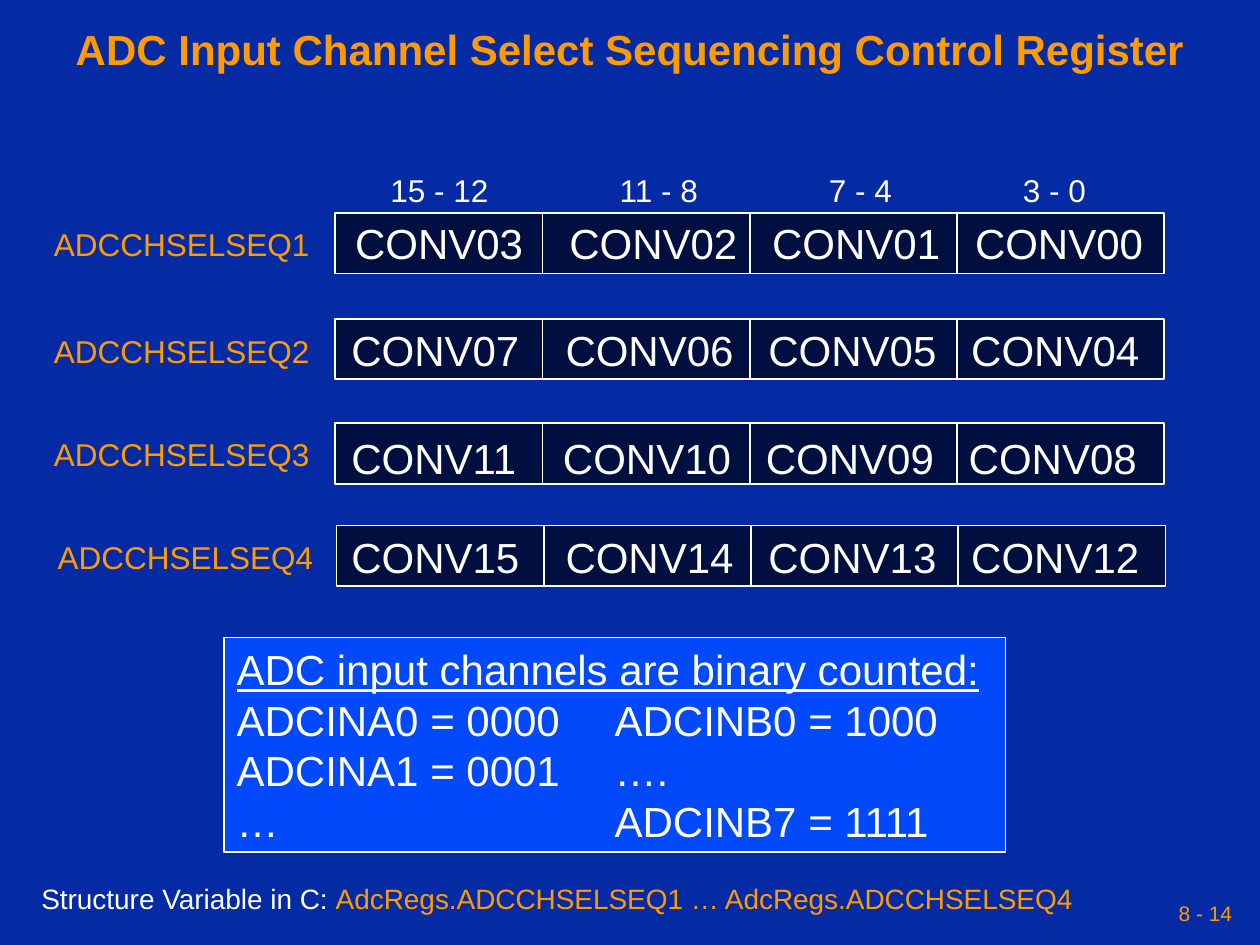
from dataclasses import dataclass
from lxml import etree
from pptx import Presentation
from pptx import util as u
from pptx.dml.color import RGBColor
from pptx.enum import shapes, text
from pptx.oxml import ns

TITLE = "ADC Input Channel Select Sequencing Control Register"
PAGE = "8 - 14"
BITS = ["15 - 12", "11 - 8", "7 - 4", "3 - 0"]
REGISTERS = [
    dict(name="ADCCHSELSEQ1", fields=["CONV03", "CONV02", "CONV01", "CONV00"],
         bar=(26.6, 16.9), label=(3.3, 16.8), words=(27.2, 16), stops=(17, 33.1, 49.2)),
    dict(name="ADCCHSELSEQ2", fields=["CONV07", "CONV06", "CONV05", "CONV04"],
         bar=(26.6, 25.3), label=(3.3, 25.3), words=(26.9, 24.5), stops=(17, 33.1, 49.2)),
    dict(name="ADCCHSELSEQ3", fields=["CONV11", "CONV10", "CONV09", "CONV08"],
         bar=(26.6, 33.6), label=(3.3, 33.4), words=(26.9, 33), stops=(16.8, 32.9, 49)),
    dict(name="ADCCHSELSEQ4", fields=["CONV15", "CONV14", "CONV13", "CONV12"],
         bar=(26.7, 41.7), label=(3.6, 41.6), words=(26.9, 40.9), stops=(17, 33.1, 49.2)),
]
CHANNELS = [
    "ADC input channels are binary counted:",
    "ADCINA0 = 0000\tADCINB0 = 1000",
    "ADCINA1 = 0001\t….",
    "…\tADCINB7 = 1111",
]
VARIABLE = ["Structure Variable in C: ", "AdcRegs.ADCCHSELSEQ1 … AdcRegs.ADCCHSELSEQ4"]
BAR_W, BAR_H = 65.8, 4.8


@dataclass(frozen=True)
class Theme:
    font: str = "Arial"
    back: str = "042AA4"
    accent: str = "FE9B03"
    ink: str = "FFFFFF"
    bar: str = "000F40"
    panel: str = "0249FC"
    big: int = 24
    label: int = 18
    note: int = 16
    small: int = 12
    line: int = 1


T = Theme()
prs = Presentation()
prs.slide_width, prs.slide_height = u.Inches(10), u.Inches(7.5)
COL, ROW = prs.slide_width / 100, prs.slide_height / 75
s = prs.slides.add_slide(prs.slide_layouts[6])
s.background.fill.solid()
s.background.fill.fore_color.rgb = RGBColor.from_string(T.back)


def grid(x, y, w, h):
    return [u.Emu(round(n * unit)) for n, unit in zip((x, y, w, h), (COL, ROW, COL, ROW))]


def style(run, size, color, bold=False):
    run.font.name = T.font
    run.font.size = u.Pt(size)
    run.font.bold = bold
    run.font.color.rgb = RGBColor.from_string(color)


def write(sp, lines, size, color, align=text.PP_ALIGN.LEFT, spacing=None, stops=(), bold=False):
    tf = sp.text_frame
    tf.word_wrap = True
    tf.text = "\n".join(lines)
    for p in tf.paragraphs:
        p.alignment = align
        p.line_spacing = spacing
        if stops:
            tabs = etree.SubElement(p._p.get_or_add_pPr(), ns.qn("a:tabLst"))
            for stop in stops:
                etree.SubElement(tabs, ns.qn("a:tab"), pos=str(round(stop * COL)), algn="l")
        for r in p.runs:
            style(r, size, color, bold)
    return tf


def label(box, words, size, color, **options):
    return write(s.shapes.add_textbox(*grid(*box)), [words], size, color, **options)


def tight(tf):
    tf.vertical_anchor = text.MSO_ANCHOR.MIDDLE
    tf.margin_left = tf.margin_right = u.Inches(0.05)


def rect(box, fill):
    sp = s.shapes.add_shape(shapes.MSO_SHAPE.RECTANGLE, *grid(*box))
    sp.shadow.inherit = False
    sp.fill.solid()
    sp.fill.fore_color.rgb = RGBColor.from_string(fill)
    outline(sp)
    return sp


def outline(sp):
    sp.line.color.rgb = RGBColor.from_string(T.ink)
    sp.line.width = u.Pt(T.line)


def register_bar(x, y, columns):
    bar = rect((x, y, BAR_W, BAR_H), T.bar)
    for i in range(1, columns):
        at = bar.left + bar.width * i // columns
        line = s.shapes.add_connector(shapes.MSO_CONNECTOR.STRAIGHT,
                                      at, bar.top, at, bar.top + bar.height)
        outline(line)
        etree.SubElement(line._element.spPr, ns.qn("a:effectLst"))
        if 2 * i == columns:
            line.begin_connect(bar, 0)
            line.end_connect(bar, 2)


tight(label((68.3, 70.8, 30, 3.3), PAGE, T.small, T.accent, align=text.PP_ALIGN.RIGHT))
tight(label((0, 0.8, 100, 6.7), TITLE, T.big, T.accent,
            align=text.PP_ALIGN.CENTER, spacing=0.9, bold=True))

label((30, 12.5, 62, 4.6), "\t".join(BITS), T.label, T.ink,
      spacing=1.2, stops=(18.2, 34.8, 50.2))
for reg in REGISTERS:
    register_bar(*reg["bar"], len(reg["fields"]))
    label((*reg["label"], 22.3, 4.6), reg["name"], T.label, T.accent, spacing=1.2)
    label((*reg["words"], 66, 5.8), "\t".join(reg["fields"]), T.big, T.ink,
          spacing=1.2, stops=reg["stops"])

tf = write(rect((17.8, 50.6, 62, 17), T.panel), CHANNELS, T.big, T.ink, stops=(30,))
tf.vertical_anchor = text.MSO_ANCHOR.MIDDLE
tf.paragraphs[0].runs[0].font.underline = True

tf = label((2.3, 69.5, 91.4, 3.7), VARIABLE[0], T.note, T.ink)
r = tf.paragraphs[0].add_run()
r.text = VARIABLE[1]
style(r, T.note, T.accent)

prs.save("out.pptx")
